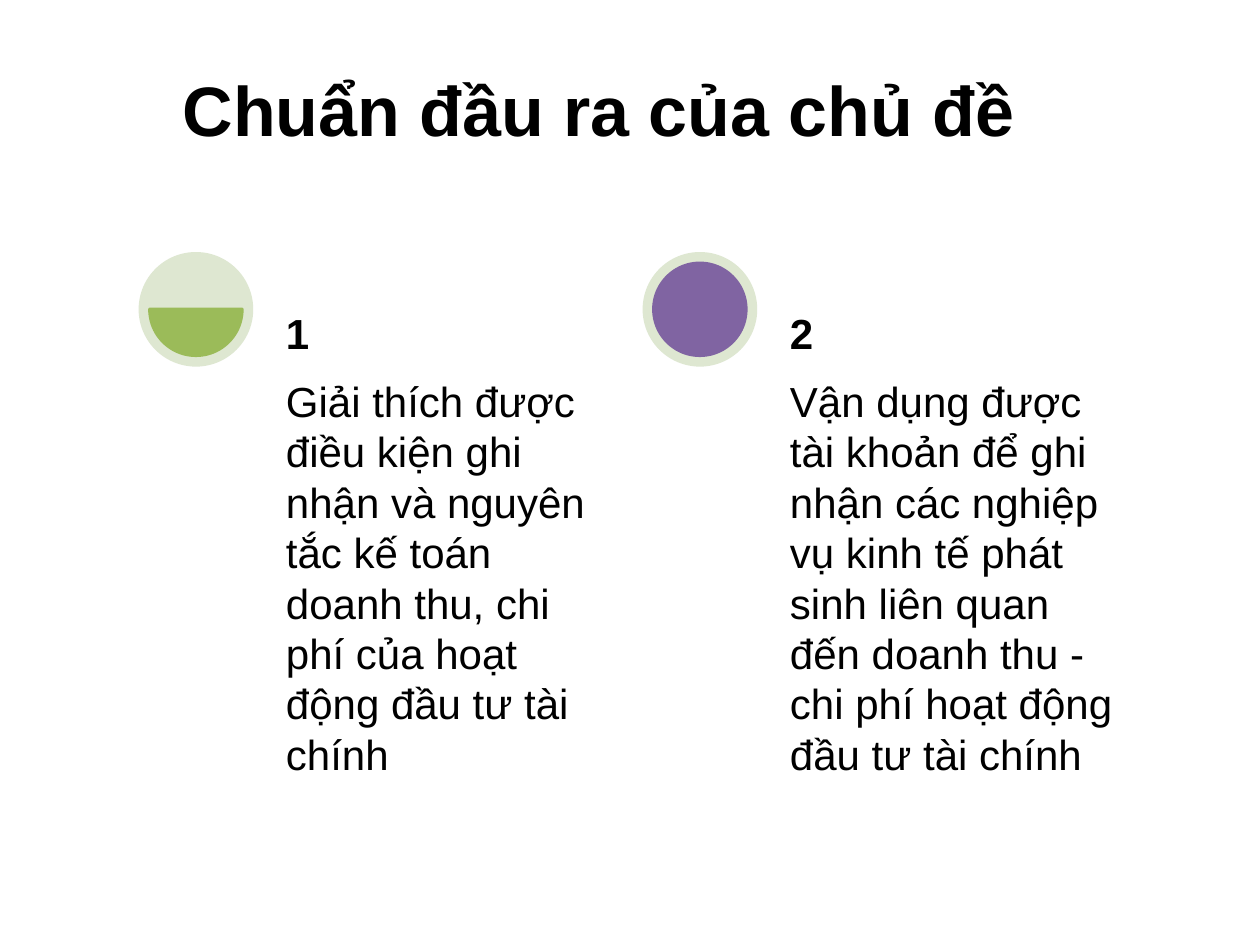
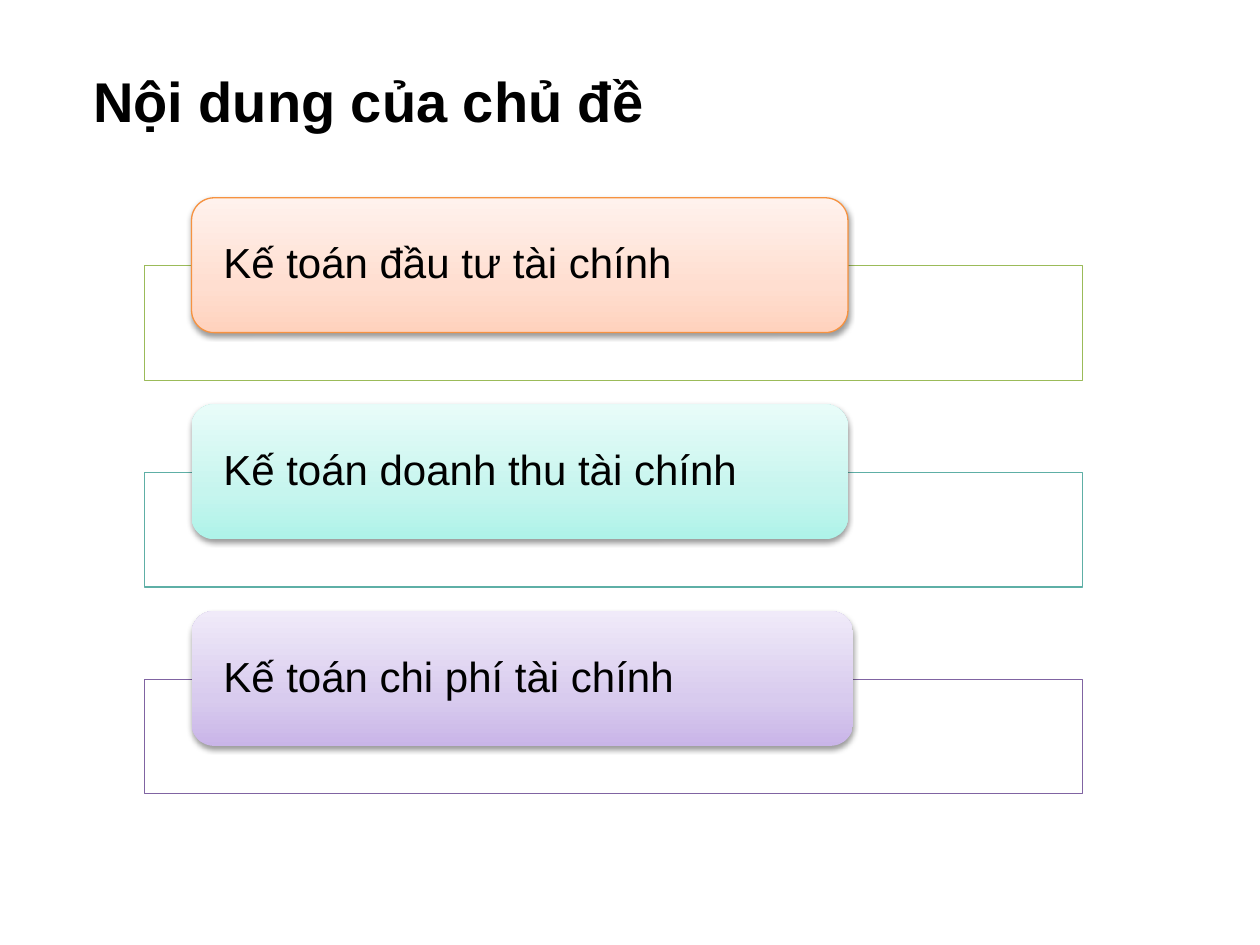
from copy import deepcopy
from dataclasses import dataclass

from lxml import etree
from pptx import Presentation
from pptx import util as u
from pptx.dml.color import RGBColor
from pptx.enum import shapes, text
from pptx.oxml import ns


@dataclass(frozen=True)
class Theme:
    font: str = "Arial"
    ink: str = "000000"
    paper: str = "FFFFFF"
    ring: str = "DEE7D1"
    green: str = "9BBB59"
    teal: str = "5EAFA6"
    purple: str = "8064A2"
    orange: str = "F69240"
    peach_fade: tuple = ("FFD2BD", "FFDED0", "FFF2ED")
    mint_fade: tuple = ("AEF3E9", "C6F5EE", "E8FCF9")
    lilac_fade: tuple = ("C9B5E8", "D8CBEE", "F0EAF9")
    fade_positions: tuple = (0, 0.35, 1)
    outcome_title: int = 40
    content_title: int = 32
    body: int = 24


THEME = Theme()
SHAPE = shapes.MSO_SHAPE
ANCHOR = text.MSO_ANCHOR


def color(code):
    return RGBColor.from_string(code)


def add_child(parent, tag, **attributes):
    child = etree.SubElement(parent, ns.qn(tag))
    for name, value in attributes.items():
        child.set(name, str(value))
    return child


def write(shape, words, size, bold=False, anchor=ANCHOR.TOP,
          inset=(0.1, 0.05), align=text.PP_ALIGN.LEFT, spacing=1.0):
    frame = shape.text_frame
    frame.word_wrap = True
    frame.vertical_anchor = anchor
    frame.margin_left = frame.margin_right = u.Inches(inset[0])
    frame.margin_top = frame.margin_bottom = u.Inches(inset[1])
    frame.text = words
    para = frame.paragraphs[0]
    para.alignment = align
    para.line_spacing = spacing
    font = para.runs[0].font
    font.name = THEME.font
    font.size = u.Pt(size)
    font.bold = bold
    font.color.rgb = color(THEME.ink)
    return para


def add_text(page, place, words, size, **style):
    box = page.shapes.add_textbox(*map(u.Inches, place))
    return write(box, words, size, **style)


def add_shape(page, kind, place, fill=None, line=None, width=0.75):
    shape = page.shapes.add_shape(kind, *map(u.Inches, place))
    shape.shadow.inherit = False
    if fill:
        shape.fill.solid()
        shape.fill.fore_color.rgb = color(fill)
    if line:
        shape.line.color.rgb = color(line)
        shape.line.width = u.Pt(width)
    else:
        shape.line.fill.background()
    return shape


def fade_upward(shape, fade):
    shape.fill.gradient()
    shape.fill.gradient_angle = 90
    stop_list = next(shape._element.spPr.iter(ns.qn("a:gsLst")))
    stop_list.append(deepcopy(stop_list[0]))
    for stop, position, code in zip(shape.fill.gradient_stops, THEME.fade_positions, fade):
        stop.position = position
        stop.color.rgb = color(code)


def cast_shadow(shape):
    effects = shape._element.spPr.find(ns.qn("a:effectLst"))
    shadow = add_child(effects, "a:outerShdw", blurRad=u.Pt(3.1), dist=u.Pt(1.6),
                       dir=90 * 60000, rotWithShape=0)
    tint = add_child(shadow, "a:srgbClr", val=THEME.ink)
    add_child(tint, "a:alpha", val=38000)


def add_outcome(page, left, number, words, fill, angles):
    top, ring, rim = 2, 0.91, 0.09
    dial = ring - 2 * rim
    add_shape(page, SHAPE.OVAL, (left, top, ring, ring), THEME.ring)
    chord = add_shape(page, SHAPE.CHORD, (left + rim, top + rim, dial, dial),
                      fill, fill, width=2)
    for index, degrees in enumerate(angles):
        chord.adjustments[index] = degrees * 0.6
    text_left, text_width, inset = left + 1.1, 2.7, (0.07, 0.07)
    add_text(page, (text_left, top + ring, text_width, 3.85), words, THEME.body, inset=inset)
    add_text(page, (text_left, top, text_width, ring), number, THEME.body,
             bold=True, anchor=ANCHOR.BOTTOM, inset=inset)


def add_topic(page, top, words, fade, frame_line, label_line=None, label_width=5.21):
    frame = add_shape(page, SHAPE.RECTANGLE, (1.15, top + 0.54, 7.44, 0.91),
                      THEME.paper, frame_line)
    tint = next(frame._element.spPr.iter(ns.qn("a:srgbClr")))
    add_child(tint, "a:alpha", val=90000)
    label = add_shape(page, SHAPE.ROUNDED_RECTANGLE, (1.52, top, label_width, 1.07),
                      line=label_line)
    fade_upward(label, fade)
    cast_shadow(label)
    write(label, words, THEME.body, anchor=ANCHOR.MIDDLE, inset=(0.2, 0), spacing=0.9)


def build_outcomes(page):
    title = add_text(page, (0.44, 0.28, 8.62, 1.24), "Chuẩn đầu ra của chủ đề",
                     THEME.outcome_title, bold=True, anchor=ANCHOR.MIDDLE,
                     align=text.PP_ALIGN.CENTER, spacing=0.9)
    title.space_after = u.Pt(6)
    outcomes = [
        ("Giải thích được điều kiện ghi nhận và nguyên tắc kế toán doanh thu, "
         "chi phí của hoạt động đầu tư tài chính", THEME.green, (0, 180)),
        ("Vận dụng được tài khoản để ghi nhận các nghiệp vụ kinh tế phát sinh "
         "liên quan đến doanh thu - chi phí hoạt động đầu tư tài chính",
         THEME.purple, (270, 270)),
    ]
    for index, outcome in enumerate(outcomes):
        add_outcome(page, 1.1 + 4 * index, str(index + 1), *outcome)


def build_contents(page):
    add_text(page, (0.64, 0.48, 4.98, 0.64), "Nội dung của chủ đề",
             THEME.content_title, bold=True)
    topics = [
        ("Kế toán đầu tư tài chính", THEME.peach_fade, THEME.green, THEME.orange),
        ("Kế toán doanh thu tài chính", THEME.mint_fade, THEME.teal),
        ("Kế toán chi phí tài chính", THEME.lilac_fade, THEME.purple, None, 5.25),
    ]
    for index, topic in enumerate(topics):
        add_topic(page, 1.57 + 1.64 * index, *topic)


def main():
    deck = Presentation()
    deck.slide_width = u.Inches(10)
    deck.slide_height = u.Inches(7.5)
    for build in (build_outcomes, build_contents):
        build(deck.slides.add_slide(deck.slide_layouts[6]))
    deck.save("out.pptx")


if __name__ == "__main__":
    main()
